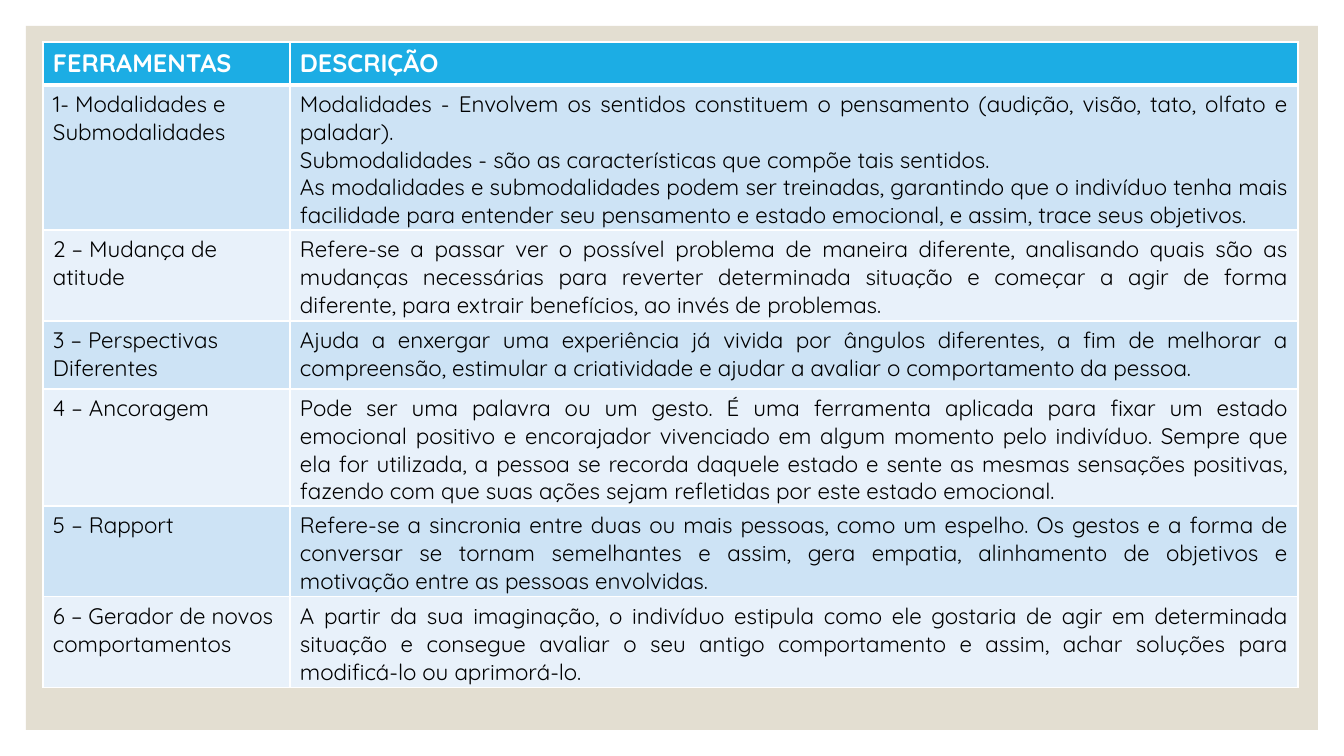
import dataclasses

import pptx
import pptx.dml.color
import pptx.enum.shapes
import pptx.enum.text
import pptx.oxml
import pptx.oxml.ns
import pptx.util


@dataclasses.dataclass(frozen=True)
class Theme:
    font: str = "Quicksand"
    panel: str = "E3DED1"
    header: str = "1CADE4"
    bands: tuple = ("CDE3F5", "E8F1FA")
    light: str = "FFFFFF"
    dark: str = "000000"
    header_size: int = 18
    body_size: int = 16
    thin: int = 1
    thick: int = 3


def px(length):
    return round(length * 914400 / 100.8)


def rgb(code):
    return pptx.dml.color.RGBColor.from_string(code)


class SlideBuilder:
    def __init__(self, slide, theme):
        self.slide = slide
        self.theme = theme

    def panel(self, left, top, width, height):
        panel = self.slide.shapes.add_shape(
            pptx.enum.shapes.MSO_SHAPE.RECTANGLE,
            px(left), px(top), px(width), px(height))
        panel.shadow.inherit = False
        panel.fill.solid()
        panel.fill.fore_color.rgb = rgb(self.theme.panel)
        panel.line.fill.background()

    def table(self, left, top, widths, heights, headings, tools):
        frame = self.slide.shapes.add_table(
            len(heights), len(widths), px(left), px(top),
            px(sum(widths)), px(sum(heights)))
        grid = frame.table
        for column, width in zip(grid.columns, widths):
            column.width = px(width)
        for row, height in zip(grid.rows, heights):
            row.height = px(height)
        for column, heading in enumerate(headings):
            self.cell(grid.cell(0, column), [heading], self.theme.header, heading=True)
        for number, (tool, description) in enumerate(tools, 1):
            band = self.theme.bands[(number - 1) % 2]
            self.cell(grid.cell(number, 0), [tool], band, after_heading=number == 1)
            self.cell(grid.cell(number, 1), description, band,
                      justified=True, after_heading=number == 1)

    def cell(self, cell, paragraphs, fill, heading=False, justified=False,
             after_heading=False):
        theme = self.theme
        cell.margin_left = cell.margin_right = px(10)
        cell.margin_top = px(5)
        cell.margin_bottom = 0
        cell.fill.solid()
        cell.fill.fore_color.rgb = rgb(fill)
        cell.text = "\n".join(paragraphs)
        for paragraph in cell.text_frame.paragraphs:
            paragraph.font.name = theme.font
            paragraph.font.size = pptx.util.Pt(theme.header_size if heading else theme.body_size)
            paragraph.font.bold = heading
            paragraph.font.color.rgb = rgb(theme.light if heading else theme.dark)
            if justified:
                paragraph.alignment = pptx.enum.text.PP_ALIGN.JUSTIFY
        self.borders(cell, top=theme.thick if after_heading else theme.thin,
                     bottom=theme.thick if heading else theme.thin)

    def borders(self, cell, top, bottom):
        properties = cell._tc.get_or_add_tcPr()
        sides = {"L": self.theme.thin, "R": self.theme.thin, "T": top, "B": bottom}
        for position, (side, points) in enumerate(sides.items()):
            properties.insert(position, pptx.oxml.parse_xml(
                f'<a:ln{side} {pptx.oxml.ns.nsdecls("a")} w="{pptx.util.Pt(points)}">'
                f'<a:solidFill><a:srgbClr val="{self.theme.light}"/></a:solidFill>'
                f'</a:ln{side}>'))


HEADINGS = ("FERRAMENTAS", "DESCRIÇÃO")
TOOLS = (
    ("1- Modalidades e Submodalidades", (
        "Modalidades - Envolvem os sentidos constituem o pensamento (audição, visão, "
        "tato, olfato e paladar).",
        "Submodalidades - são as características que compõe tais sentidos.",
        "As modalidades e submodalidades podem ser treinadas, garantindo que o indivíduo "
        "tenha mais facilidade para entender seu pensamento e estado emocional, e assim, "
        "trace seus objetivos.")),
    ("2 – Mudança de atitude", (
        "Refere-se a passar ver o possível problema de maneira diferente, analisando quais "
        "são as mudanças necessárias para reverter determinada situação e começar a agir "
        "de forma diferente, para extrair benefícios, ao invés de problemas.",)),
    ("3 – Perspectivas Diferentes", (
        "Ajuda a enxergar uma experiência já vivida por ângulos diferentes, a fim de "
        "melhorar a compreensão, estimular a criatividade e ajudar a avaliar o "
        "comportamento da pessoa.",)),
    ("4 – Ancoragem", (
        "Pode ser uma palavra ou um gesto. É uma ferramenta aplicada para fixar um estado "
        "emocional positivo e encorajador vivenciado em algum momento pelo indivíduo. "
        "Sempre que ela for utilizada, a pessoa se recorda daquele estado e sente as "
        "mesmas sensações positivas, fazendo com que suas ações sejam refletidas por este "
        "estado emocional.",)),
    ("5 – Rapport", (
        "Refere-se a sincronia entre duas ou mais pessoas, como um espelho. Os gestos e a "
        "forma de conversar se tornam semelhantes e assim, gera empatia, alinhamento de "
        "objetivos e motivação entre as pessoas envolvidas.",)),
    ("6 – Gerador de novos comportamentos", (
        "A partir da sua imaginação, o indivíduo estipula como ele gostaria de agir em "
        "determinada situação e consegue avaliar o seu antigo comportamento e assim, "
        "achar soluções para modificá-lo ou aprimorá-lo.",)),
)


def main():
    presentation = pptx.Presentation()
    presentation.slide_width = px(1344)
    presentation.slide_height = px(756)
    builder = SlideBuilder(
        presentation.slides.add_slide(presentation.slide_layouts[6]), Theme())
    builder.panel(26, 26, 1292, 704)
    builder.table(43, 42, (247, 1008), (43, 145, 91, 68, 117, 91, 91), HEADINGS, TOOLS)
    presentation.save("out.pptx")


if __name__ == "__main__":
    main()
